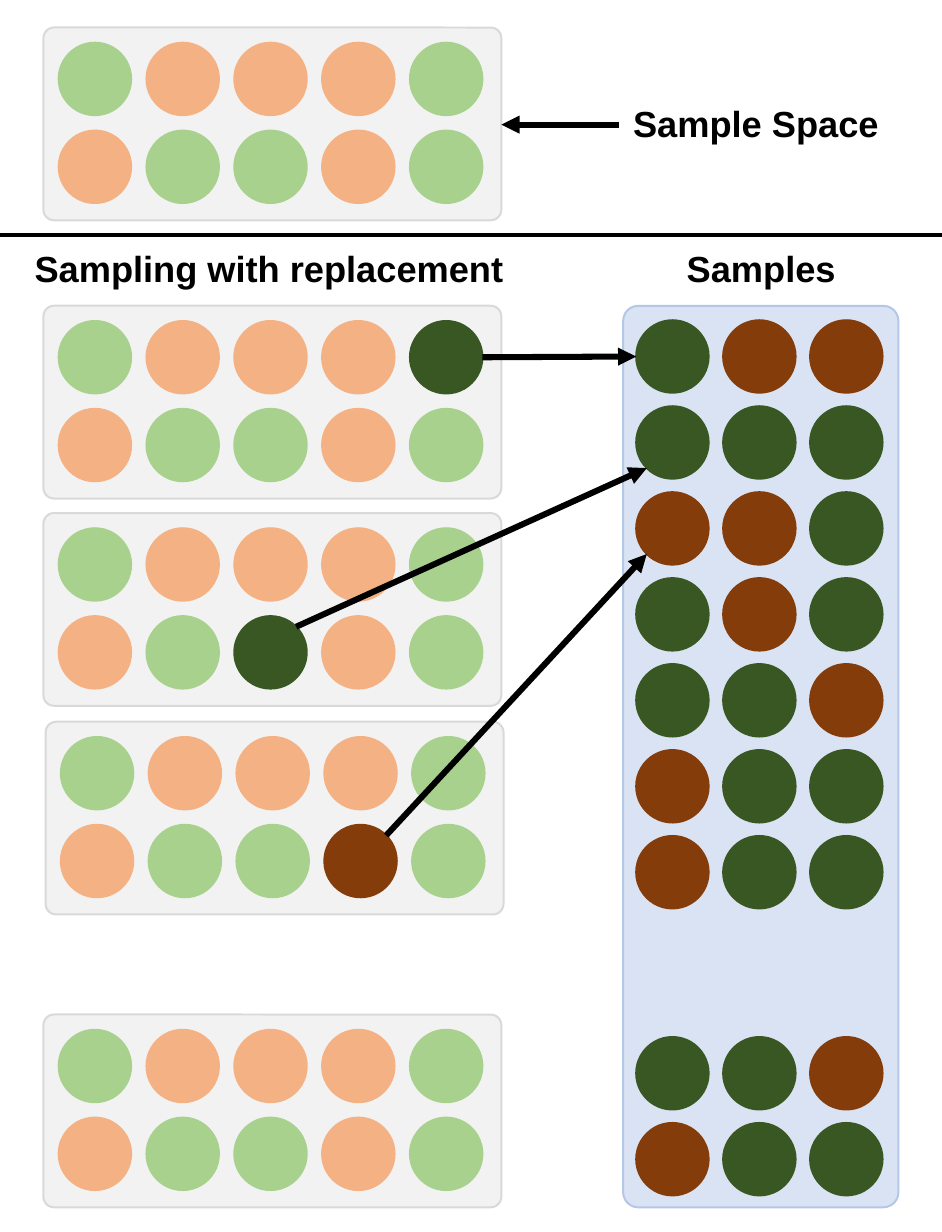
from dataclasses import dataclass, field
from math import cos, radians, sin

from lxml.etree import SubElement
from pptx import Presentation
from pptx.dml.color import RGBColor
from pptx.enum.shapes import MSO_CONNECTOR as Connector, MSO_SHAPE as Shape
from pptx.enum.text import MSO_AUTO_SIZE as AutoSize
from pptx.oxml.ns import qn
from pptx.util import Inches, Pt

COLUMNS, ROWS = 65, 85


@dataclass(frozen=True)
class Theme:
    ink: str = "000000"
    space_fill: str = "F2F2F2"
    space_edge: str = "D9D9D9"
    samples_fill: str = "DAE3F3"
    samples_edge: str = "B4C7E7"
    # g, o: green and orange left in the space; G, O: drawn ones
    balls: dict = field(default_factory=lambda: {
        "g": "A9D18E", "o": "F4B183", "G": "385723", "O": "843C0B"})
    heading: dict = field(default_factory=lambda: {
        "name": "Arial", "size": Pt(18), "bold": True})
    frame: dict = field(default_factory=lambda: {
        "word_wrap": False, "auto_size": AutoSize.SHAPE_TO_FIT_TEXT})
    outline: float = 1
    divider: float = 2.25
    arrow: float = 3


class Diagram:
    """Draws on one slide; every length is in grid columns and rows."""
    ball_size = 5

    def __init__(self, deck, theme):
        self.theme = theme
        self.slide = deck.slides.add_slide(deck.slide_layouts[6])
        self.column = deck.slide_width / COLUMNS
        self.row = deck.slide_height / ROWS

    def grid(self, *lengths):
        """Turn alternating columns and rows into slide lengths."""
        units = (self.column, self.row) * 2
        return [round(length * unit) for length, unit in zip(lengths, units)]

    def block(self, kind, at, fill, edge):
        block = self.slide.shapes.add_shape(kind, *self.grid(*at))
        block.shadow.inherit = False
        block.fill.solid()
        block.fill.fore_color.rgb = RGBColor.from_string(fill)
        block.line.color.rgb = RGBColor.from_string(edge)
        block.line.width = Pt(self.theme.outline)
        return block

    def panel(self, at, fill, edge):
        self.block(Shape.ROUNDED_RECTANGLE, at, fill, edge).adjustments[0] = 0.055

    def ball(self, left, top, kind):
        color = self.theme.balls[kind]
        self.block(Shape.OVAL, (left, top, self.ball_size, self.ball_size), color, color)

    def space(self, left, top, balls):
        """Draw a sample space and return the position of its drawn ball, if any."""
        drawn = None
        self.panel((left, top, 31.6, 13.3), self.theme.space_fill, self.theme.space_edge)
        for row, kinds in enumerate(balls.split()):
            for column, kind in enumerate(kinds):
                place = left + 1.05 + 6.06 * column, top + 1.05 + 6.06 * row
                self.ball(*place, kind)
                if kind.isupper():
                    drawn = place
        return drawn

    def heading(self, at, text):
        frame = self.slide.shapes.add_textbox(*self.grid(*at)).text_frame
        for name, value in self.theme.frame.items():
            setattr(frame, name, value)
        run = frame.paragraphs[0].add_run()
        run.text = text
        for name, value in self.theme.heading.items():
            setattr(run.font, name, value)
        run.font.color.rgb = RGBColor.from_string(self.theme.ink)

    def line(self, start, end, width, arrow=False):
        line = self.slide.shapes.add_connector(
            Connector.STRAIGHT, *self.grid(*start, *end))
        line.line.color.rgb = RGBColor.from_string(self.theme.ink)
        line.line.width = Pt(width)
        if arrow:
            SubElement(line.line._get_or_add_ln(), qn("a:tailEnd"), type="triangle")
        SubElement(line._element.spPr, qn("a:effectLst"))

    def rim(self, ball, degrees):
        """Point on a ball's edge, counted anticlockwise from its right side."""
        radius = self.ball_size / 2
        left, top = ball
        return (left + radius * (1 + cos(radians(degrees))),
                top + radius * (1 - sin(radians(degrees))))


SPACE = "gooog oggog"
DRAWS = [  # left, top, balls
    (3, 21.1, "goooG oggog"),
    (3, 35.4, "gooog ogGog"),
    (3.15, 49.8, "gooog oggOg"),
    (3, 70, SPACE),
]
FIRST_SAMPLES = "GOO GGG OOG GOG GGO OGG OGG".split()
LAST_SAMPLES = "GGO OGG".split()
ARROW_ANGLES = [(0, 180), (45, 225), (45, 225)]  # leaving and reaching a ball


def main():
    deck = Presentation()
    deck.slide_width, deck.slide_height = Inches(6.5), Inches(8.5)
    theme = Theme()
    diagram = Diagram(deck, theme)

    diagram.panel((43, 21.1, 19, 62.2), theme.samples_fill, theme.samples_edge)
    diagram.space(3, 1.9, SPACE)
    diagram.line((42.7, 8.6), (34.6, 8.6), theme.arrow, arrow=True)
    diagram.line((0, 16.2), (COLUMNS, 16.2), theme.divider)
    diagram.heading((42.7, 6.5, 19.1, 4), "Sample Space")
    diagram.heading((1.4, 16.5, 34.7, 4), "Sampling with replacement")
    diagram.heading((46.4, 16.5, 12.4, 4), "Samples")

    drawn_balls = [diagram.space(*draw) for draw in DRAWS]
    sample_places = []
    for top, samples in ((22.1, FIRST_SAMPLES), (71.55, LAST_SAMPLES)):
        for row, sample in enumerate(samples):
            sample_places.append((43.9, top + 5.93 * row))
            for column, kind in enumerate(sample):
                diagram.ball(43.9 + 6 * column, top + 5.93 * row, kind)

    for drawn, sample, (leave, reach) in zip(drawn_balls, sample_places, ARROW_ANGLES):
        diagram.line(diagram.rim(drawn, leave), diagram.rim(sample, reach),
                     theme.arrow, arrow=True)
    deck.save("out.pptx")


if __name__ == "__main__":
    main()
